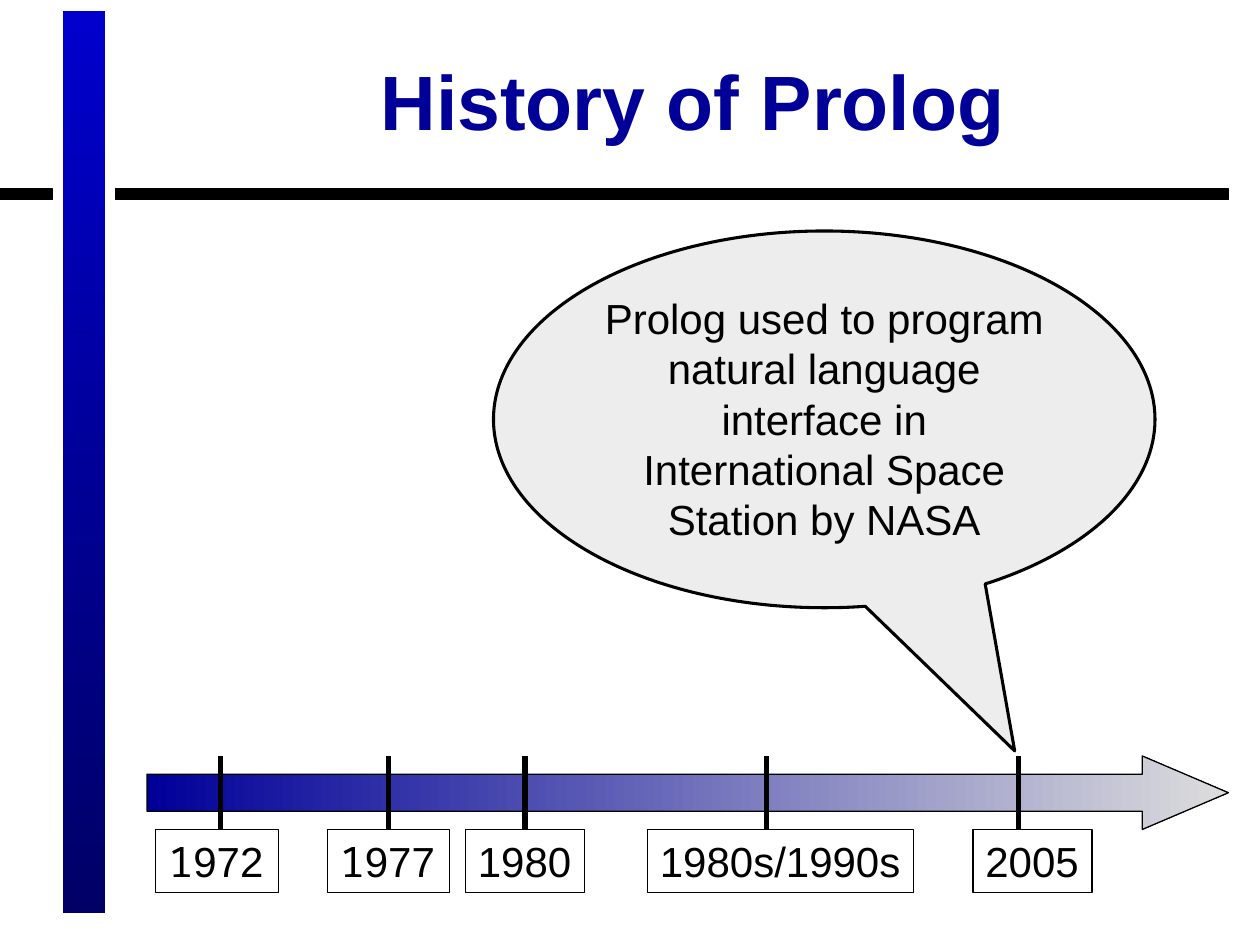
from lxml import etree
from pptx import Presentation
from pptx.dml.color import RGBColor
from pptx.enum.shapes import MSO_CONNECTOR, MSO_SHAPE
from pptx.enum.text import MSO_ANCHOR, MSO_AUTO_SIZE, PP_ALIGN
from pptx.oxml.ns import qn
from pptx.util import Pt

WHITE = RGBColor(0xFF, 0xFF, 0xFF)
BLACK = RGBColor(0x00, 0x00, 0x00)
BAR_TOP = RGBColor(0x00, 0x00, 0xCC)
BAR_BOTTOM = RGBColor(0x00, 0x00, 0x66)
NAVY = RGBColor(0x00, 0x00, 0x99)
GREY = RGBColor(0xDD, 0xDD, 0xDD)

FONT = "Arial"
MONO = "Noto Sans Mono"

ARROW_TOP, ARROW_HEIGHT = 432, 42
DATE_TOP, DATE_HEIGHT = ARROW_TOP + ARROW_HEIGHT, 36

# tick x, box left, box width, runs of (text, font)
DATES = [
    (126, 89, 70, [("1", MONO), ("972", FONT)]),
    (222, 187, 70, [("1", MONO), ("977", FONT)]),
    (300, 266, 68, [("1980", FONT)]),
    (438, 370, 152, [("1980s/1990s", FONT)]),
    (582, 556, 68, [("2005", FONT)]),
]


def write_text(frame, runs, size=24, color=BLACK, bold=False,
               align=PP_ALIGN.LEFT, anchor=MSO_ANCHOR.TOP, before=6, wrap=True):
    frame.word_wrap = wrap
    frame.vertical_anchor = anchor
    paragraph = frame.paragraphs[0]
    paragraph.alignment = align
    paragraph.space_before = Pt(before)
    for text, font_name in runs:
        run = paragraph.add_run()
        run.text = text
        run.font.name = font_name
        run.font.size = Pt(size)
        run.font.bold = bold
        run.font.color.rgb = color


def set_line(element, color, width=0.75):
    element.line.color.rgb = color
    element.line.width = Pt(width)


def set_gradient(fill, start, end, angle):
    """Angle is counter-clockwise, in degrees."""
    fill.gradient()
    fill.gradient_angle = angle
    for stop, color, position in zip(fill.gradient_stops, (start, end), (0, 1)):
        stop.color.rgb = color
        stop.position = position


def add_preset(slide, preset, left, top, width, height, adjustments=()):
    shape = slide.shapes.add_shape(preset, Pt(left), Pt(top), Pt(width), Pt(height))
    shape.shadow.inherit = False
    for index, value in enumerate(adjustments):
        shape.adjustments[index] = value
    return shape


def add_frame_bars(slide):
    bar = add_preset(slide, MSO_SHAPE.RECTANGLE, 36, 6, 24, 516)
    set_gradient(bar.fill, BAR_TOP, BAR_BOTTOM, 270)
    bar.line.fill.background()
    for left, width in ((66, 636), (0, 30)):
        rule = add_preset(slide, MSO_SHAPE.RECTANGLE, left, 108, width, 6)
        rule.fill.solid()
        rule.fill.fore_color.rgb = BLACK
        set_line(rule, BLACK)


def format_title(title):
    title.left, title.top, title.width, title.height = Pt(78), Pt(12), Pt(636), Pt(90)
    title.fill.solid()
    title.fill.fore_color.rgb = WHITE
    set_line(title, WHITE)
    write_text(title.text_frame, [("History of Prolog", FONT)], size=44, color=NAVY,
               bold=True, align=PP_ALIGN.CENTER, anchor=MSO_ANCHOR.MIDDLE, before=0)


def add_time_arrow(slide):
    arrow = add_preset(slide, MSO_SHAPE.RIGHT_ARROW, 84, ARROW_TOP, 618,
                       ARROW_HEIGHT, (0.504, 1.172))
    set_gradient(arrow.fill, NAVY, GREY, 0)
    set_line(arrow, BLACK)


def add_date(slide, tick_x, left, width, runs):
    box = slide.shapes.add_textbox(Pt(left), Pt(DATE_TOP), Pt(width), Pt(DATE_HEIGHT))
    set_line(box, BLACK)
    write_text(box.text_frame, runs, wrap=False)
    box.text_frame.auto_size = MSO_AUTO_SIZE.SHAPE_TO_FIT_TEXT

    tick = slide.shapes.add_connector(MSO_CONNECTOR.STRAIGHT, Pt(tick_x), Pt(ARROW_TOP),
                                      Pt(tick_x), Pt(DATE_TOP))
    set_line(tick, BLACK, 3)
    etree.SubElement(tick.element.spPr, qn("a:effectLst"))
    if tick_x == left + width / 2:
        tick.end_connect(box, 0)


def add_callout(slide, text):
    callout = add_preset(slide, MSO_SHAPE.OVAL_CALLOUT, 282, 132, 378, 215.3,
                         (0.288, 0.88))
    callout.fill.solid()
    callout.fill.fore_color.rgb = GREY
    color = callout.element.spPr.find(qn("a:solidFill"))[0]
    etree.SubElement(color, qn("a:alpha"), val="50000")
    set_line(callout, BLACK, 1.75)
    write_text(callout.text_frame, [(text, FONT)], align=PP_ALIGN.CENTER)


def main():
    prs = Presentation()
    prs.slide_width, prs.slide_height = Pt(720), Pt(540)
    slide = prs.slides.add_slide(prs.slide_layouts[5])
    add_frame_bars(slide)
    format_title(slide.shapes.title)
    add_time_arrow(slide)
    for date in DATES:
        add_date(slide, *date)
    add_callout(slide, "Prolog used to program natural language interface in "
                       "International Space Station by NASA")
    prs.save("out.pptx")


if __name__ == "__main__":
    main()
